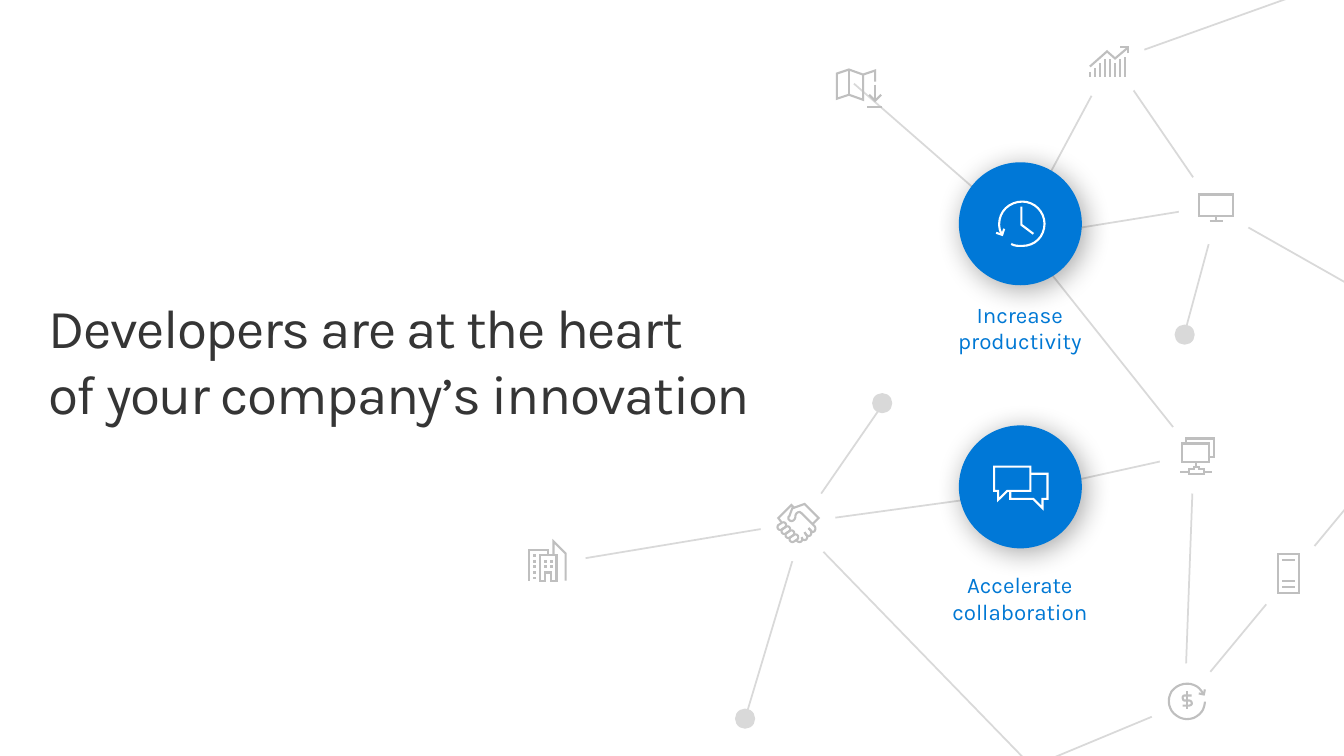
from lxml.etree import SubElement
from pptx import Presentation
from pptx.dml.color import RGBColor
from pptx.enum.shapes import MSO_CONNECTOR as CONNECTOR, MSO_SHAPE as SHAPE
from pptx.enum.text import MSO_ANCHOR as ANCHOR, MSO_AUTO_SIZE as AUTO_SIZE, PP_ALIGN as ALIGN
from pptx.oxml.ns import qn
from pptx.util import Inches, Pt

BLUE, CAPTION_BLUE, INK = "0078D7", "0078D4", "353535"
WHITE, LINK_GRAY, ICON_GRAY = "FFFFFF", "D9D9D9", "BFBFBF"
DISC, HUB, DOT = 0.75, 1.22, 0.2


def color(value):
    return RGBColor.from_string(value)


def write(frame, text, size=16, fill=INK, font="Karla", align=ALIGN.LEFT,
          anchor=ANCHOR.MIDDLE, margins=(0, 0), spacing=None):
    frame.word_wrap = True
    frame.auto_size = AUTO_SIZE.NONE
    frame.vertical_anchor = anchor
    frame.margin_left = frame.margin_right = Inches(margins[0])
    frame.margin_top = frame.margin_bottom = Inches(margins[1])
    paragraph = frame.paragraphs[0]
    paragraph.text = text
    paragraph.alignment = align
    for run in paragraph.runs:
        run.font.name = font
        run.font.size = Pt(size)
        run.font.color.rgb = color(fill)
        if spacing is not None:
            run._r.get_or_add_rPr().set("spc", str(spacing))


def trace(stroke):
    points = [stroke[0]]
    for step in stroke[1:]:
        if len(step) == 2:
            points.append(step)
            continue
        x0, y0 = points[-1]
        x1, y1, x2, y2, x3, y3 = step
        for i in range(1, 9):
            t = i / 8
            a, b, c, d = (1 - t) ** 3, 3 * t * (1 - t) ** 2, 3 * t * t * (1 - t), t ** 3
            points.append((a * x0 + b * x1 + c * x2 + d * x3,
                           a * y0 + b * y1 + c * y2 + d * y3))
    return [(x * 1000, y * 1000) for x, y in points]


class NetworkSlide:
    def __init__(self, presentation):
        self.slide = presentation.slides.add_slide(presentation.slide_layouts[5])
        self.shapes = self.slide.shapes

    def title(self, text, box):
        title = self.shapes.title
        title.left, title.top, title.width, title.height = map(Inches, box)
        write(title.text_frame, text, size=39.2, anchor=ANCHOR.TOP, spacing=-100)

    def caption(self, text, box):
        caption = self.shapes.add_textbox(*map(Inches, box))
        write(caption.text_frame, text, fill=CAPTION_BLUE, align=ALIGN.CENTER,
              margins=(0.2, 0.16))

    def link(self, *ends):
        link = self.shapes.add_connector(CONNECTOR.STRAIGHT, *map(Inches, ends))
        link.line.color.rgb = color(LINK_GRAY)
        link.line.width = Pt(1.25)
        SubElement(link._element.spPr, qn("a:effectLst"))

    def circle(self, left, top, size, fill, glow=False):
        circle = self.shapes.add_shape(SHAPE.OVAL, *map(Inches, (left, top, size, size)))
        circle.fill.solid()
        circle.fill.fore_color.rgb = color(fill)
        circle.line.fill.background()
        circle.shadow.inherit = False
        if glow:
            effects = circle._element.spPr.find(qn("a:effectLst"))
            shadow = SubElement(effects, qn("a:outerShdw"), blurRad=str(Pt(20)),
                                dist=str(Pt(4)), dir="2700000", algn="tl", rotWithShape="0")
            black = SubElement(shadow, qn("a:srgbClr"), val="000000")
            SubElement(black, qn("a:alpha"), val="35000")

    def icon(self, strokes, ink=ICON_GRAY):
        paths = [trace(stroke) for stroke in strokes]
        builder = self.shapes.build_freeform(*paths[0][0], scale=914.4)
        builder.add_line_segments(paths[0][1:], close=False)
        for path in paths[1:]:
            builder.move_to(*path[0])
            builder.add_line_segments(path[1:], close=False)
        icon = builder.convert_to_shape()
        icon.fill.background()
        icon.line.color.rgb = color(ink)
        icon.line.width = Pt(1.5)
        icon.shadow.inherit = False
        SubElement(icon._element.spPr.find(qn("a:ln")), qn("a:miter"), lim="800000")


def rect(left, top, right, bottom):
    return [(left, top), (right, top), (right, bottom), (left, bottom), (left, top), (right, top)]


def finger(shift):
    outline = [(7.72, 5.21), (7.71, 5.22, 7.71, 5.24, 7.72, 5.25),
               (7.73, 5.26, 7.75, 5.26, 7.76, 5.25), (7.79, 5.23),
               (7.8, 5.22, 7.8, 5.2, 7.79, 5.19), (7.78, 5.18, 7.76, 5.18, 7.75, 5.19),
               (7.72, 5.21)]
    return [tuple(value + shift for value in step) for step in outline]


LINKS = [
    (8.47, 0.83, 10.13, 2.28), (11.03, 0.57, 10.13, 2.25), (11.04, 0.6, 12.06, 2.09),
    (10.14, 4.88, 11.86, 4.5), (7.96, 5.18, 10.15, 4.88), (7.39, 7.13, 7.98, 5.16),
    (7.96, 5.18, 5.43, 5.6), (7.97, 5.15, 8.75, 4.02), (10.09, 2.36, 12.07, 2.04),
    (11.86, 4.52, 10.11, 2.32), (11.74, 3.34, 12.07, 2.12), (13.34, 2.8, 12.07, 2.08),
    (11.75, 6.96, 11.84, 4.52), (13.35, 5.04, 11.76, 6.96), (11.05, 0.6, 12.95, -0.08),
    (11.81, 6.95, 10.2, 7.62), (7.91, 5.21, 10.23, 7.6),
]
DISCS = [(10.62, 0.24), (11.69, 1.68), (11.5, 4.15), (11.39, 6.58),
         (7.54, 4.82), (5.06, 5.2), (12.41, 5.32)]
DOTS = [(11.65, 3.22), (8.65, 3.9), (7.29, 7.03)]
HUBS = [("Increase\nproductivity", 1.61, 3.05), ("Accelerate\ncollaboration", 4.22, 5.73)]

MAP = [
    [(8.42, 0.69), (8.42, 0.94)], [(8.68, 0.84), (8.68, 0.99)],
    [(8.62, 0.94), (8.68, 1), (8.74, 0.94)],
    [(8.68, 0.81), (8.68, 0.7), (8.56, 0.74), (8.42, 0.69), (8.3, 0.73), (8.3, 0.98),
     (8.42, 0.94), (8.56, 0.99), (8.56, 0.74)],
    [(8.6, 1.06), (8.75, 1.06)],
]
MONEY = [
    [(11.95, 6.96), (11.95, 6.99, 11.94, 7.03, 11.92, 7.06),
     (11.86, 7.14, 11.75, 7.16, 11.67, 7.1), (11.59, 7.05, 11.57, 6.94, 11.62, 6.86),
     (11.68, 6.78, 11.79, 6.76, 11.87, 6.81), (11.9, 6.83, 11.92, 6.86, 11.94, 6.89)],
    [(11.89, 6.88), (11.94, 6.89), (11.95, 6.84)],
    [(11.73, 7), (11.79, 7), (11.81, 7, 11.82, 6.99, 11.82, 6.98),
     (11.82, 6.96, 11.81, 6.95, 11.79, 6.95), (11.75, 6.95),
     (11.74, 6.95, 11.73, 6.94, 11.73, 6.92), (11.73, 6.91, 11.74, 6.9, 11.75, 6.9),
     (11.82, 6.9)],
    [(11.77, 6.86), (11.77, 7.03)],
]
HANDSHAKE = [finger(0.04 * i) for i in range(4)] + [
    [(7.75, 5.18), (7.72, 5.14), (7.85, 5.01), (7.88, 5.04)],
    [(7.98, 5.28), (8, 5.31), (8.01, 5.32, 8.03, 5.32, 8.04, 5.31),
     (8.05, 5.29, 8.05, 5.28, 8.04, 5.26), (8.02, 5.24)],
    [(7.9, 5.36), (7.91, 5.37), (7.92, 5.38, 7.94, 5.38, 7.95, 5.37),
     (7.96, 5.36, 7.96, 5.34, 7.95, 5.33), (7.96, 5.35),
     (7.97, 5.36, 7.99, 5.36, 8, 5.35), (8.01, 5.33, 8.01, 5.32, 8, 5.31), (7.98, 5.28)],
    [(8.06, 5.2), (8.12, 5.14), (7.98, 5), (7.87, 5.04), (7.86, 5.04), (7.83, 5.12),
     (7.82, 5.13, 7.82, 5.13, 7.82, 5.14), (7.82, 5.15, 7.82, 5.15, 7.83, 5.16),
     (7.83, 5.16, 7.84, 5.17, 7.85, 5.17), (7.87, 5.17, 7.89, 5.15, 7.89, 5.12),
     (7.89, 5.1, 7.91, 5.08, 7.93, 5.08), (7.94, 5.08, 7.94, 5.09, 7.95, 5.09),
     (8.08, 5.22), (8.09, 5.24, 8.09, 5.25, 8.08, 5.27),
     (8.07, 5.28, 8.05, 5.28, 8.04, 5.26), (8.02, 5.24)],
]
SCREENS = [
    rect(11.72, 4.4, 11.99, 4.58),
    [(11.99, 4.53), (12.04, 4.53), (12.04, 4.35), (11.76, 4.35), (11.76, 4.4)],
    [(11.94, 4.7), (11.94, 4.65), (11.89, 4.65), (11.89, 4.63), (11.84, 4.63),
     (11.84, 4.65), (11.79, 4.65), (11.79, 4.7), (11.94, 4.7)],
    [(11.79, 4.68), (11.7, 4.68)], [(11.94, 4.68), (12.02, 4.68)],
    [(11.86, 4.63), (11.86, 4.58)],
]
WINDOWS = [(5.3, row) for row in range(5)] + [(x, row) for x in (5.41, 5.47) for row in (1, 2)]
BUILDINGS = [
    [(5.44, 5.51), (5.52, 5.51), (5.52, 5.76), (5.47, 5.76), (5.47, 5.68), (5.41, 5.68),
     (5.41, 5.76), (5.36, 5.76), (5.36, 5.51), (5.44, 5.51)],
    [(5.44, 5.51), (5.44, 5.46), (5.25, 5.46), (5.25, 5.76)],
    [(5.61, 5.76), (5.61, 5.49), (5.49, 5.37), (5.49, 5.51)],
] + [rect(x, 5.51 + 0.055 * row, x + 0.01, 5.515 + 0.055 * row) for x, row in WINDOWS]
MONITOR = [rect(11.89, 1.93, 12.23, 2.14), [(12.06, 2.14), (12.06, 2.19)],
           [(12, 2.19), (12.13, 2.19)]]
BAR_TOPS = [0.71, 0.67, 0.63, 0.59, 0.59, 0.63, 0.59, 0.57]
GROWTH = [[(10.81 + 0.05 * i, 0.76), (10.81 + 0.05 * i, top)] for i, top in enumerate(BAR_TOPS)] + [
    [(11.19, 0.47), (11.06, 0.58), (10.98, 0.51), (10.81, 0.66)],
    [(11.19, 0.53), (11.19, 0.47), (11.11, 0.47)],
]
SERVER = [rect(12.68, 5.5, 12.88, 5.88)] + [[(12.72, y), (12.84, y)] for y in (5.56, 5.76, 5.82)]
CLOCK = [
    [(9.94, 2.33), (9.92, 2.3, 9.91, 2.26, 9.91, 2.22), (9.91, 2.1, 10.01, 2, 10.14, 2),
     (10.26, 2, 10.36, 2.1, 10.36, 2.22), (10.36, 2.35, 10.26, 2.44, 10.14, 2.44),
     (10.1, 2.44, 10.06, 2.44, 10.03, 2.42)],
    [(9.88, 2.31), (9.94, 2.33), (9.96, 2.27)], [(10.13, 2.05), (10.13, 2.23), (10.25, 2.32)],
]
CHAT = [
    [(10.22, 4.75), (10.22, 4.87), (9.99, 4.87), (9.9, 4.96), (9.9, 4.87), (9.86, 4.87),
     (9.86, 4.63), (10.22, 4.63), (10.22, 4.75)],
    [(10.02, 4.87), (10.02, 4.95), (10.25, 4.95), (10.34, 5.04), (10.34, 4.95),
     (10.39, 4.95), (10.39, 4.7), (10.22, 4.7)],
]


def main():
    presentation = Presentation()
    presentation.slide_width, presentation.slide_height = Inches(13.33), Inches(7.5)
    network = NetworkSlide(presentation)
    network.title("Developers are at the heart \nof your company’s innovation",
                  (0.48, 2.91, 12.36, 1.32))
    for ends in LINKS:
        network.link(*ends)
    for left, top in DISCS:
        network.circle(left, top, DISC, WHITE)
    for strokes in (MAP, MONEY, HANDSHAKE, SCREENS, BUILDINGS, MONITOR, GROWTH, SERVER):
        network.icon(strokes)
    for label, hub_top, label_top in HUBS:
        network.circle(9.51, hub_top, HUB, BLUE, glow=True)
        network.caption(label, (8.69, label_top, 2.85, 0.4))
    for strokes in (CLOCK, CHAT):
        network.icon(strokes, WHITE)
    for left, top in DOTS:
        network.circle(left, top, DOT, LINK_GRAY)
    presentation.save("out.pptx")


if __name__ == "__main__":
    main()
